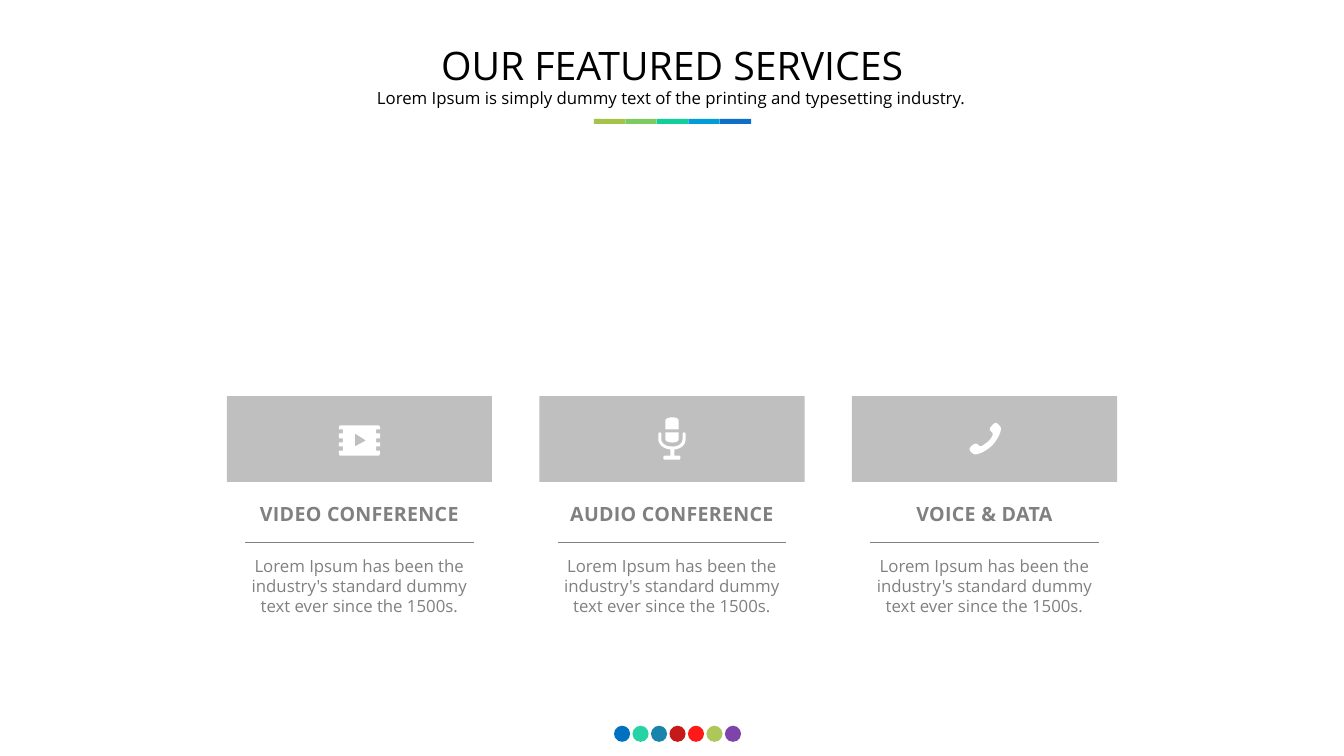
from lxml import etree
from pptx import Presentation
from pptx.dml.color import RGBColor
from pptx.enum.shapes import MSO_CONNECTOR as Connector, MSO_SHAPE as Shape
from pptx.enum.text import MSO_ANCHOR as Anchor, MSO_AUTO_SIZE as AutoSize, PP_ALIGN as Align
from pptx.oxml.ns import qn
from pptx.util import Inches, Pt

FONT = "Open Sans"
BLACK = RGBColor(0x00, 0x00, 0x00)
WHITE = RGBColor(0xFF, 0xFF, 0xFF)
GRAY = RGBColor(0x80, 0x80, 0x80)
OLIVE = RGBColor(0xA5, 0xC2, 0x49)
GREEN = RGBColor(0x7C, 0xCA, 0x62)
TEAL = RGBColor(0x10, 0xCF, 0x9B)
SKY = RGBColor(0x00, 0x9D, 0xD9)
BLUE = RGBColor(0x0F, 0x6F, 0xC6)
COBALT = RGBColor(0x00, 0x70, 0xC0)
PETROL = RGBColor(0x00, 0x76, 0xA3)
DARK_RED = RGBColor(0xC0, 0x00, 0x00)
RED = RGBColor(0xFF, 0x00, 0x00)
PURPLE = RGBColor(0x70, 0x30, 0xA0)

# Icon outlines in hundredths of an inch: a pair is a point, six numbers are a Bézier curve
FILM_RIGHT = [(40, 0), (41, 2), (41, 4), (37, 4), (37, 8), (41, 8), (41, 13), (37, 13), (37, 17),
              (41, 17), (41, 21), (37, 21), (37, 25), (41, 25), (41, 28), (40, 30)]
FILM_LEFT = [(41 - x, y) for x, y in reversed(FILM_RIGHT)]
FILM = [FILM_RIGHT + FILM_LEFT, [(27, 15), (16, 8), (16, 21)]]
MICROPHONE = [
    [(27, 16), (27, 22), (27, 26, 24, 31, 16, 32), (16, 38), (21, 38), (22, 39), (22, 41),
     (21, 42), (6, 42), (5, 41), (5, 39), (6, 38), (12, 38), (12, 32), (4, 31, 0, 26, 0, 22),
     (0, 16), (1, 15), (2, 15), (3, 16), (3, 22), (3, 24, 5, 29, 14, 29),
     (22, 29, 24, 24, 24, 22), (24, 16), (25, 15), (26, 15)],
    [(20, 12), (7, 12), (7, 3), (7, 2, 9, 0, 14, 0), (19, 0, 20, 2, 20, 3)],
    [(7, 22), (7, 15), (20, 15), (20, 22), (20, 23, 19, 25, 14, 25), (9, 25, 7, 23, 7, 22)],
]
HANDSET = [[(25, 12), (23, 10, 21, 9, 25, 5), (29, 0, 31, 4, 33, 6), (35, 8, 33, 16, 25, 25),
            (16, 33, 8, 35, 6, 33), (4, 31, 0, 29, 5, 25), (9, 22, 10, 23, 12, 25),
            (14, 27, 17, 24, 21, 21), (24, 18, 27, 14, 25, 12)]]

# Heading, icon outline, icon offset inside the banner
SERVICES = [
    ("VIDEO CONFERENCE", FILM, (1.11, 0.29)),
    ("AUDIO CONFERENCE", MICROPHONE, (1.18, 0.21)),
    ("VOICE & DATA", HANDSET, (1.14, 0.24)),
]
SUMMARY = "Lorem Ipsum has been the industry's standard dummy text ever since the 1500s."


def paint(shape, color, opacity=100):
    shape.shadow.inherit = False
    shape.line.fill.background()
    shape.fill.solid()
    shape.fill.fore_color.rgb = color
    if opacity < 100:
        srgb = shape.fill._xPr.find(".//" + qn("a:srgbClr"))
        etree.SubElement(srgb, qn("a:alpha")).set("val", str(opacity * 1000))


def write(shape, text, size=12, color=GRAY, bold=False, inset=0, anchor=Anchor.TOP,
          line_spacing=None, after=0, tracking=None):
    frame = shape.text_frame
    frame.word_wrap = True
    frame.auto_size = AutoSize.NONE
    frame.vertical_anchor = anchor
    frame.margin_left = frame.margin_right = Inches(inset)
    frame.margin_top = frame.margin_bottom = Inches(inset / 2)
    paragraph = frame.paragraphs[0]
    paragraph.alignment = Align.CENTER
    paragraph.space_after = Pt(after)
    if line_spacing:
        paragraph.line_spacing = Pt(line_spacing)
    run = paragraph.add_run()
    run.text = text
    run.font.name = FONT
    run.font.size = Pt(size)
    run.font.bold = bold
    run.font.color.rgb = color
    if tracking:
        run._r.get_or_add_rPr().set("spc", str(round(tracking * 100)))


def add_text(slide, left, top, width, height, text, **style):
    box = slide.shapes.add_textbox(Inches(left), Inches(top), Inches(width), Inches(height))
    write(box, text, **style)


def trace(contour, steps=8):
    """Turn points and Bézier curves into a list of points."""
    points = []
    for part in contour:
        if len(part) == 2:
            points.append(part)
            continue
        (x0, y0), (x1, y1, x2, y2, x3, y3) = points[-1], part
        for step in range(1, steps + 1):
            t = step / steps
            a, b, c, d = (1 - t) ** 3, 3 * t * (1 - t) ** 2, 3 * t * t * (1 - t), t ** 3
            points.append((a * x0 + b * x1 + c * x2 + d * x3, a * y0 + b * y1 + c * y2 + d * y3))
    return points


def add_icon(slide, left, top, contours):
    outlines = [[(Inches(left + x / 100), Inches(top + y / 100)) for x, y in trace(contour)]
                for contour in contours]
    builder = slide.shapes.build_freeform(*outlines[0][0])
    for index, outline in enumerate(outlines):
        if index:
            builder.move_to(*outline[0])
        builder.add_line_segments(outline[1:], close=True)
    paint(builder.convert_to_shape(), WHITE)


def add_row(slide, kind, left, top, width, height, pitch, fills):
    """Group a row of equal shapes, one for each color and opacity."""
    row = slide.shapes.add_group_shape()
    for index, (color, opacity) in enumerate(fills):
        mark = row.shapes.add_shape(kind, Inches(left + index * pitch), Inches(top),
                                    Inches(width), Inches(height))
        paint(mark, color, opacity)


def add_header(slide, left, top, width):
    title = slide.shapes.title
    title.left, title.top = Inches(left), Inches(top)
    title.width, title.height = Inches(width), Inches(0.49)
    write(title, "OUR FEATURED SERVICES", size=28, color=BLACK, inset=0.1, anchor=Anchor.MIDDLE)
    add_text(slide, left + 0.58, top + 0.42, 6.74, 0.3,
             "Lorem Ipsum is simply dummy text of the printing and typesetting industry.",
             color=BLACK, inset=0.1)
    # Five-color underline
    add_row(slide, Shape.RECTANGLE, left + 3.18, top + 0.78, 0.31, 0.05, 0.3125,
            [(color, 100) for color in (OLIVE, GREEN, TEAL, SKY, BLUE)])


def add_service(slide, left, top, width, heading, icon, offset):
    # Banner with icon
    banner = slide.shapes.add_shape(Shape.RECTANGLE, Inches(left), Inches(top),
                                    Inches(width), Inches(0.85))
    paint(banner, GRAY, opacity=50)
    add_icon(slide, left + offset[0], top + offset[1], icon)
    # Heading, rule and summary
    add_text(slide, left + 0.15, top + 1.05, width - 0.3, 0.24, heading, size=14, bold=True,
             line_spacing=17, after=6, tracking=0.2)
    rule = slide.shapes.add_connector(Connector.STRAIGHT, Inches(left + 0.18), Inches(top + 1.45),
                                      Inches(left + width - 0.18), Inches(top + 1.45))
    rule.line.color.rgb = GRAY
    rule.line.width = Pt(1)
    etree.SubElement(rule._element.spPr, qn("a:effectLst"))
    add_text(slide, left + 0.15, top + 1.58, width - 0.3, 0.61, SUMMARY, after=6)


def add_footer(slide, left, top):
    tints = [(color, 90) for color in (TEAL, PETROL, DARK_RED, RED, OLIVE, PURPLE)]
    add_row(slide, Shape.OVAL, left, top, 0.16, 0.16, 1.1 / 6, [(COBALT, 100)] + tints)


def main():
    deck = Presentation()
    deck.slide_width, deck.slide_height = Inches(13.33), Inches(7.5)
    slide = deck.slides.add_slide(deck.slide_layouts[5])
    add_footer(slide, 6.09, 7.2)
    for index, (heading, icon, offset) in enumerate(SERVICES):
        add_service(slide, 2.25 + index * 3.1, 3.93, 2.63, heading, icon, offset)
    add_header(slide, 2.71, 0.4, 7.91)
    deck.save("out.pptx")


if __name__ == "__main__":
    main()
